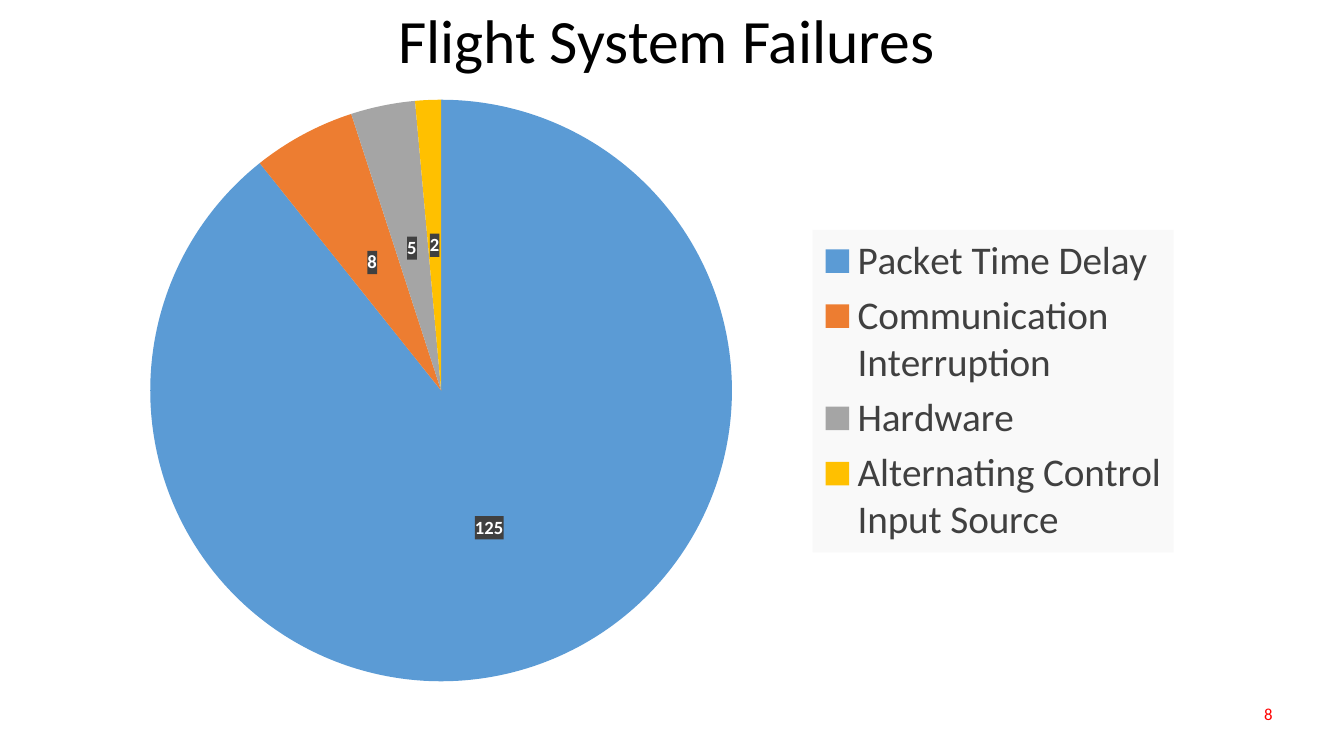
from pptx import Presentation
from pptx.chart.data import CategoryChartData
from pptx.dml.color import RGBColor
from pptx.enum.chart import XL_CHART_TYPE, XL_LABEL_POSITION, XL_LEGEND_POSITION
from pptx.enum.text import MSO_ANCHOR, PP_ALIGN
from pptx.oxml import parse_xml
from pptx.oxml.ns import nsdecls, qn
from pptx.util import Emu, Pt

PIE = XL_CHART_TYPE.PIE
LABEL_CENTER = XL_LABEL_POSITION.CENTER
LEGEND_RIGHT = XL_LEGEND_POSITION.RIGHT
MIDDLE = MSO_ANCHOR.MIDDLE
CENTER, RIGHT = PP_ALIGN.CENTER, PP_ALIGN.RIGHT

PX = 9144  # EMU per px, 100 px to the inch
FONT = "Calibri"
COLORS = {
    "black": "000000", "white": "FFFFFF", "red": "FF0000", "dark": "404040",
    "legend": "F9F9F9", "blue": "5B9BD5", "orange": "ED7D31",
    "gray": "A5A5A5", "gold": "FFC000",
}
FAILURES = [
    ("Packet Time Delay", 125, "blue"),
    ("Communication Interruption", 8, "orange"),
    ("Hardware", 5, "gray"),
    ("Alternating Control Input Source", 2, "gold"),
]


class Deck:
    def __init__(self, width, height):
        self.prs = Presentation()
        self.prs.slide_width, self.prs.slide_height = Emu(width * PX), Emu(height * PX)
        self.s = self.prs.slides.add_slide(self.prs.slide_layouts[6])

    def font(self, font, size, color, bold=False):
        font.name, font.size, font.bold = FONT, Pt(size), bold
        font.color.rgb = RGBColor.from_string(COLORS[color])

    def text(self, box, text, size, color, align, spacing=1.0):
        tf = self.s.shapes.add_textbox(*(Emu(v * PX) for v in box)).text_frame
        tf.word_wrap = True
        tf.vertical_anchor = MIDDLE
        tf.text = text
        p = tf.paragraphs[0]
        p.alignment, p.line_spacing = align, spacing
        self.font(p.runs[0].font, size, color)

    def layout(self, frame, area, inner=False):
        """Manual layout of a chart part, both boxes in slide px."""
        left, top, width, height = frame
        x, y, w, h = area
        parts = {"xMode": "edge", "yMode": "edge",
                 "x": (x - left) / width, "y": (y - top) / height,
                 "w": w / width, "h": h / height}
        if inner:
            parts = {"layoutTarget": "inner", **parts}
        body = "".join(f'<c:{k} val="{v}"/>' for k, v in parts.items())
        return parse_xml(f'<c:layout {nsdecls("c")}><c:manualLayout>{body}'
                         '</c:manualLayout></c:layout>')

    def backdrop(self, element, color):
        """Solid fill behind a legend or data labels."""
        element.find(qn("c:txPr")).addprevious(parse_xml(
            f'<c:spPr {nsdecls("c", "a")}><a:solidFill><a:srgbClr val="{COLORS[color]}"/>'
            '</a:solidFill><a:ln><a:noFill/></a:ln></c:spPr>'))

    def pie(self, frame, plot_area, legend_area, rows):
        data = CategoryChartData()
        data.categories = [name for name, _, _ in rows]
        data.add_series("Series 1", [value for _, value, _ in rows])
        chart = self.s.shapes.add_chart(PIE, *(Emu(v * PX) for v in frame), data).chart
        chart.has_title = False
        self.font(chart.font, 10, "black")

        # Slices
        plot = chart.plots[0]
        plot.vary_by_categories = True
        series = plot.series[0]
        for i, (_, _, color) in enumerate(rows):
            fill = series.points[i].format.fill
            fill.solid()
            fill.fore_color.rgb = RGBColor.from_string(COLORS[color])

        # Value labels
        labels = series.data_labels
        labels.show_value = True
        labels.show_percentage = labels.show_category_name = False
        labels.position = LABEL_CENTER
        self.font(labels.font, 13.3, "white", bold=True)
        self.backdrop(series._element.find(qn("c:dLbls")), "dark")

        # Legend
        chart.has_legend = True
        legend = chart.legend
        legend.position, legend.include_in_layout = LEGEND_RIGHT, False
        self.font(legend.font, 28, "dark")
        self.backdrop(legend._element, "legend")

        # Placement of pie and legend
        plot_xml = chart._chartSpace.chart.plotArea
        for part, area, inner in ((plot_xml, plot_area, True),
                                  (legend._element, legend_area, False)):
            for old in part.findall(qn("c:layout")):
                part.remove(old)
            part.insert(0 if inner else 1, self.layout(frame, area, inner))


def main():
    deck = Deck(1333, 750)
    deck.text((384, 0, 554, 86), "Flight System Failures", 44, "black", CENTER, 0.9)
    deck.text((972, 688, 300, 40), "8", 12, "red", RIGHT)
    deck.pie((69, 86, 1104, 604), (149, 99, 577, 577), (806, 228, 358, 320), FAILURES)
    deck.prs.save("out.pptx")


if __name__ == "__main__":
    main()
